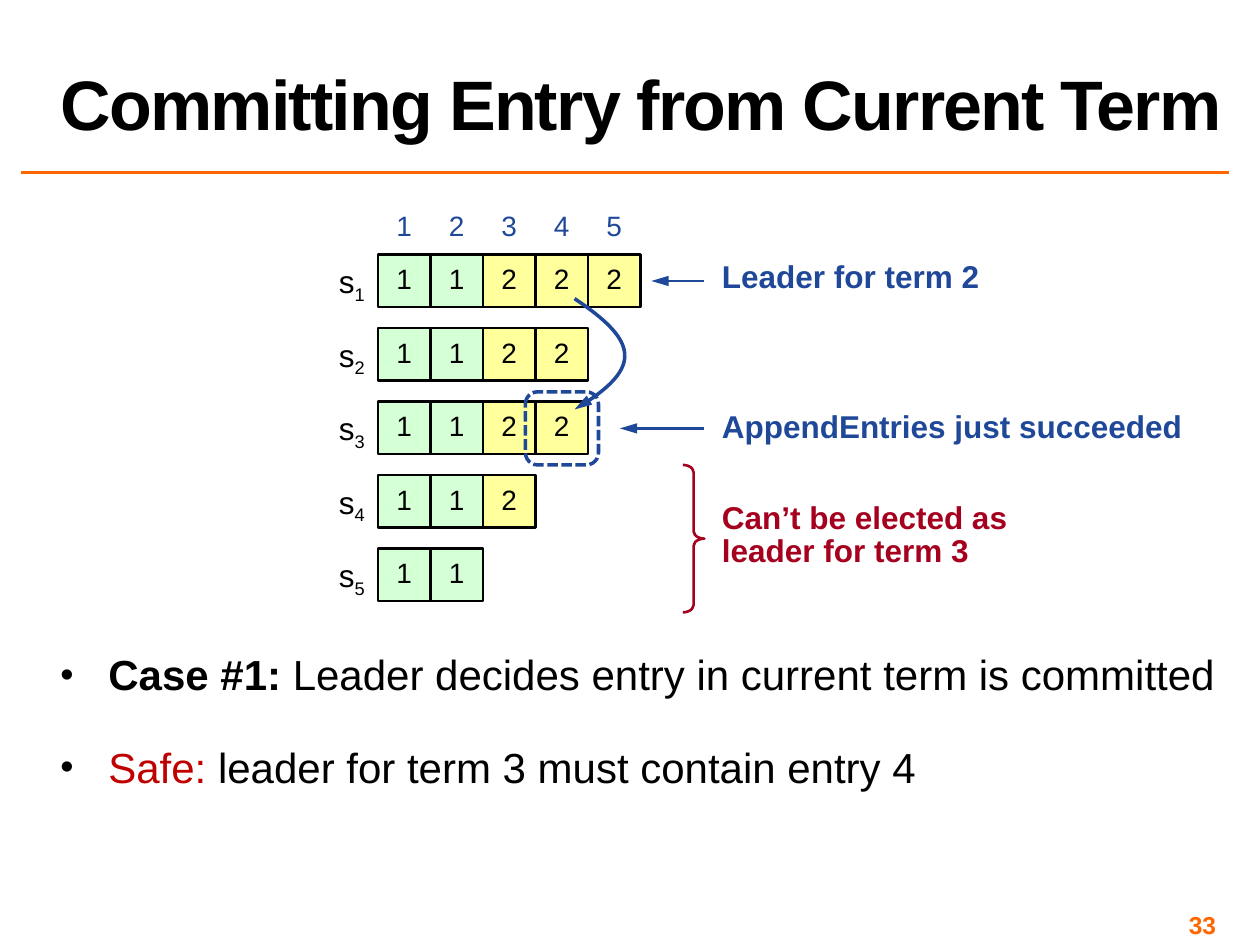
from dataclasses import dataclass

from lxml import etree
from pptx import Presentation
from pptx.dml.color import RGBColor
from pptx.enum.dml import MSO_LINE
from pptx.enum.shapes import MSO_CONNECTOR, MSO_SHAPE
from pptx.enum.text import MSO_ANCHOR, MSO_AUTO_SIZE, PP_ALIGN
from pptx.oxml.ns import qn
from pptx.util import Inches, Pt

LEFT, CENTER, RIGHT = PP_ALIGN.LEFT, PP_ALIGN.CENTER, PP_ALIGN.RIGHT
RECT, ROUNDED, BRACE = MSO_SHAPE.RECTANGLE, MSO_SHAPE.ROUNDED_RECTANGLE, MSO_SHAPE.RIGHT_BRACE
STRAIGHT = MSO_CONNECTOR.STRAIGHT
DASH = MSO_LINE.SQUARE_DOT

BLACK = RGBColor(0x00, 0x00, 0x00)
ORANGE = RGBColor(0xFF, 0x66, 0x00)
BLUE = RGBColor(0x1F, 0x48, 0x99)
CRIMSON = RGBColor(0xA5, 0x00, 0x1E)
RED = RGBColor(0xC0, 0x00, 0x00)
TERM_FILLS = {1: RGBColor(0xD5, 0xFF, 0xD5), 2: RGBColor(0xFF, 0xFF, 0x9B)}

CELL = 5 / 12
ROW_PITCH = 7 / 12
GRID_LEFT, GRID_TOP = 3, 2.02


@dataclass
class Server:
    number: int
    terms: list[int]


@dataclass
class Note:
    text: str
    top: float
    width: float
    height: float
    color: RGBColor


@dataclass
class Bullet:
    lead: str
    rest: str
    color: RGBColor
    bold: bool
    space_before: int


SERVERS = [
    Server(1, [1, 1, 2, 2, 2]),
    Server(2, [1, 1, 2, 2]),
    Server(3, [1, 1, 2, 2]),
    Server(4, [1, 1, 2]),
    Server(5, [1, 1]),
]
NOTES = [
    Note("Leader for term 2", 2.08, 2.77, 0.27, BLUE),
    Note("AppendEntries just succeeded", 3.27, 4.19, 0.27, BLUE),
    Note("Can’t be elected as\nleader for term 3", 3.99, 2.77, 0.53, CRIMSON),
]
BULLETS = [
    Bullet("Case #1: ", "Leader decides entry in current term is committed", BLACK, True, 0),
    Bullet("Safe: ", "leader for term 3 must contain entry 4", RED, False, 24),
]


def write(p, text: str, size: float, color: RGBColor = BLACK, bold: bool = False,
          baseline: int = 0, spacing: int = 0) -> None:
    """Append text to a paragraph; a newline becomes a line break."""
    for i, line in enumerate(text.split("\n")):
        if i:
            p.add_line_break()
        r = p.add_run()
        r.text = line
        r.font.name = "Arial"
        r.font.size = Pt(size)
        r.font.bold = bold
        r.font.color.rgb = color
        for name, value in (("baseline", baseline), ("spc", spacing)):
            if value:
                r._r.get_or_add_rPr().set(name, str(value))


def clear_insets(tf) -> None:
    tf.margin_left = tf.margin_top = tf.margin_right = tf.margin_bottom = 0


def add_text_box(s, x: float, y: float, w: float, h: float, align=LEFT, insets: bool = False):
    """Add an empty text box and return its first paragraph."""
    tf = s.shapes.add_textbox(Inches(x), Inches(y), Inches(w), Inches(h)).text_frame
    tf.word_wrap = True
    if not insets:
        clear_insets(tf)
    p = tf.paragraphs[0]
    p.alignment = align
    return p


def set_line(sp, color: RGBColor, width: float) -> None:
    sp.line.color.rgb = color
    sp.line.width = Pt(width)


def add_shape(s, kind, x: float, y: float, w: float, h: float, color: RGBColor,
              width: float, fill: RGBColor | None = None):
    sp = s.shapes.add_shape(kind, Inches(x), Inches(y), Inches(w), Inches(h))
    sp.shadow.inherit = False
    if fill is None:
        sp.fill.background()
    else:
        sp.fill.solid()
        sp.fill.fore_color.rgb = fill
    set_line(sp, color, width)
    return sp


def add_arrowhead(sp) -> None:
    etree.SubElement(sp.line._get_or_add_ln(), qn("a:tailEnd"), type="triangle", w="med", len="lg")


def add_level_line(s, x1: float, x2: float, y: float, color: RGBColor, width: float):
    line = s.shapes.add_connector(STRAIGHT, Inches(x1), Inches(y), Inches(x2), Inches(y))
    set_line(line, color, width)
    etree.SubElement(line._element.spPr, qn("a:effectLst"))
    return line


def add_cell(s, x: float, y: float, term: int) -> None:
    sp = add_shape(s, RECT, x, y, CELL, CELL, BLACK, 1.5, TERM_FILLS[term])
    tf = sp.text_frame
    clear_insets(tf)
    tf.vertical_anchor = MSO_ANCHOR.MIDDLE
    p = tf.paragraphs[0]
    p.alignment = CENTER
    p.line_spacing = Pt(17)
    write(p, str(term), 16)


def add_server(s, server: Server, row: int) -> None:
    y = GRID_TOP + row * ROW_PITCH
    p = add_text_box(s, GRID_LEFT - CELL, y + 0.06, CELL, 0.3, CENTER)
    write(p, "s", 18)
    write(p, str(server.number), 18, baseline=-25000)
    for column, term in enumerate(server.terms):
        add_cell(s, GRID_LEFT + column * CELL, y, term)


def add_replication_arrow(s) -> None:
    """Draw one cubic curve from entry 4 of s1 to entry 4 of s3."""
    x, top, bottom = 4.56, 2.37, 3.25
    builder = s.shapes.build_freeform(Inches(x), Inches(top))
    builder.add_line_segments([(Inches(4.95), Inches(2.82)), (Inches(x), Inches(bottom))], close=False)
    sp = builder.convert_to_shape()
    outline = sp._element.spPr.find(".//" + qn("a:path"))
    for segment in outline.findall(qn("a:lnTo")):
        outline.remove(segment)
    curve = etree.SubElement(outline, qn("a:cubicBezTo"))
    for px, py in ((5.04, 2.69), (5.11, 2.93), (x, bottom)):
        etree.SubElement(curve, qn("a:pt"), x=str(Inches(px - x)), y=str(Inches(py - top)))
    sp.shadow.inherit = False
    sp.fill.background()
    set_line(sp, BLUE, 2)
    add_arrowhead(sp)


def place(sp, x: float, y: float, w: float, h: float) -> None:
    sp.left, sp.top, sp.width, sp.height = Inches(x), Inches(y), Inches(w), Inches(h)
    sp.text_frame.auto_size = MSO_AUTO_SIZE.NONE


def add_bullet(p, bullet: Bullet) -> None:
    pPr = p._p.get_or_add_pPr()
    pPr.set("marL", str(Inches(0.38)))
    pPr.set("indent", str(Inches(-0.38)))
    color = etree.SubElement(pPr, qn("a:buClr"))
    etree.SubElement(color, qn("a:srgbClr"), val=str(BLACK))
    etree.SubElement(pPr, qn("a:buSzPct"), val="90000")
    etree.SubElement(pPr, qn("a:buFont"), typeface="Arial")
    etree.SubElement(pPr, qn("a:buChar"), char="•")
    p.space_before = Pt(bullet.space_before)
    write(p, bullet.lead, 24, bullet.color, bullet.bold)
    write(p, bullet.rest, 24)


def main() -> None:
    prs = Presentation()
    prs.slide_width, prs.slide_height = Inches(10), Inches(7.5)
    s = prs.slides.add_slide(prs.slide_layouts[1])
    title, body = s.placeholders

    place(title, 0.38, 0.02, 9.62, 1.17)
    title.text_frame.vertical_anchor = MSO_ANCHOR.BOTTOM
    p = title.text_frame.paragraphs[0]
    p.alignment = LEFT
    p.line_spacing = 0.8
    write(p, "Committing Entry from Current Term", 40, bold=True, spacing=-100)
    add_level_line(s, 0.17, 9.75, 1.37, ORANGE, 2)

    place(body, 0.38, 5.1, 9.62, 2.09)
    tf = body.text_frame
    for i, bullet in enumerate(BULLETS):
        add_bullet(tf.add_paragraph() if i else tf.paragraphs[0], bullet)

    for column in range(5):
        p = add_text_box(s, GRID_LEFT + column * CELL, 1.61, CELL, 0.37, CENTER, insets=True)
        write(p, str(column + 1), 16, BLUE)
    for row, server in enumerate(SERVERS):
        add_server(s, server, row)

    for note in NOTES:
        p = add_text_box(s, 5.73, note.top, note.width, note.height)
        p.line_spacing = Pt(19)
        write(p, note.text, 18, note.color, bold=True)
    brace = add_shape(s, BRACE, 5.42, 3.69, 0.17, 1.17, CRIMSON, 1.5)
    brace.adjustments[0] = 0.34
    highlight = add_shape(s, ROUNDED, 4.17, 3.11, 0.58, 0.58, BLUE, 2)
    highlight.line.dash_style = DASH
    for tip, y in ((5.17, 2.23), (4.92, 3.4)):
        add_arrowhead(add_level_line(s, 5.59, tip, y, BLUE, 1.5))
    add_replication_arrow(s)

    p = add_text_box(s, 7.42, 7.17, 2.33, 0.23, RIGHT, insets=True)
    write(p, "33", 14, ORANGE, bold=True)
    prs.save("out.pptx")


if __name__ == "__main__":
    main()
